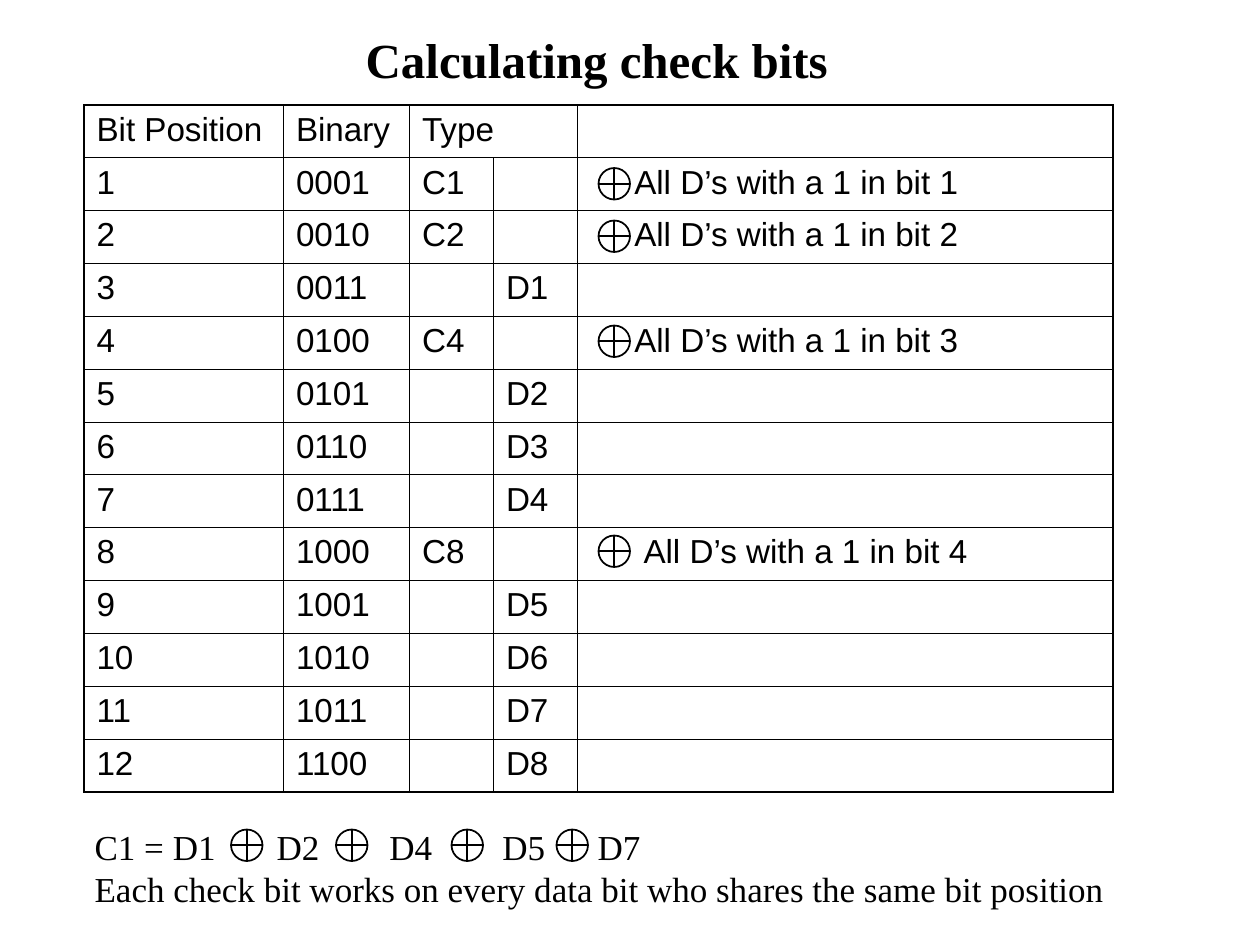
from lxml.etree import SubElement
from pptx import Presentation
from pptx.dml.color import RGBColor
from pptx.enum.shapes import MSO_CONNECTOR, MSO_SHAPE
from pptx.enum.text import MSO_ANCHOR, MSO_AUTO_SIZE, PP_ALIGN
from pptx.oxml import parse_xml
from pptx.oxml.ns import nsdecls, qn
from pptx.util import Pt

HUES = {"ink": "000000"}
SERIF, SANS = "Times New Roman", "Arial"
LEFT, TOP, ROW = 48, 60, 30.2
COLS = [114, 72, 48, 48, 306]
RING, STEP = 18, 30


class Deck:
    def __init__(self):
        self.prs = Presentation()
        self.prs.slide_width, self.prs.slide_height = Pt(720), Pt(540)
        self.slide = self.prs.slides.add_slide(self.prs.slide_layouts[5])
        self.ink = RGBColor.from_string(HUES["ink"])

    def style(self, para, face, size, bold=False):
        font = para.font
        font.name, font.size, font.bold = face, Pt(size), bold
        font.color.rgb = self.ink

    def title(self, text, x, y, w, h):
        box = self.slide.shapes.title
        box.left, box.top, box.width, box.height = Pt(x), Pt(y), Pt(w), Pt(h)
        frame = box.text_frame
        frame.text = text
        frame.auto_size = MSO_AUTO_SIZE.NONE
        frame.vertical_anchor = MSO_ANCHOR.BOTTOM
        para = frame.paragraphs[0]
        para.alignment = PP_ALIGN.CENTER
        self.style(para, SERIF, 28, True)

    def border(self, cell, sides):
        """Set line widths, given in the order left, right, top, bottom."""
        props = cell._tc.get_or_add_tcPr()
        for i, (side, width) in enumerate(zip("LRTB", sides)):
            props.insert(i, parse_xml(
                f'<a:ln{side} {nsdecls("a")} w="{Pt(width)}"><a:solidFill>'
                f'<a:srgbClr val="{HUES["ink"]}"/></a:solidFill></a:ln{side}>'))

    def table(self, rows):
        last, end = len(rows) - 1, len(COLS) - 1
        grid = self.slide.shapes.add_table(
            len(rows), len(COLS), Pt(LEFT), Pt(TOP),
            Pt(sum(COLS)), Pt(ROW * len(rows))).table
        grid.first_row = grid.horz_banding = False
        for col, width in zip(grid.columns, COLS):
            col.width = Pt(width)
        for r, row in enumerate(rows):
            grid.rows[r].height = Pt(ROW)
            for c, text in enumerate(row):
                cell = grid.cell(r, c)
                cell.fill.background()
                edges = (c == 0, c == end, r == 0, r == last)
                self.border(cell, [1.08 if edge else 0.45 for edge in edges])
                cell.text = text
                self.style(cell.text_frame.paragraphs[0], SANS, 19)
        grid.cell(0, 2).merge(grid.cell(0, 3))
        return grid

    def text(self, lines, x, y, w, h, stops):
        frame = self.slide.shapes.add_textbox(
            Pt(x), Pt(y), Pt(w), Pt(h)).text_frame
        frame.word_wrap = True
        frame.auto_size = MSO_AUTO_SIZE.SHAPE_TO_FIT_TEXT
        frame.text = "\n".join(lines)
        for para in frame.paragraphs:
            if "\t" in para.text:
                tabs = SubElement(para._p.get_or_add_pPr(), qn("a:tabLst"))
                for stop in stops:
                    SubElement(tabs, qn("a:tab"), pos=str(Pt(stop)), algn="l")
            self.style(para, SERIF, 20)

    def line(self, group, x1, y1, x2, y2):
        rule = group.shapes.add_connector(
            MSO_CONNECTOR.STRAIGHT, Pt(x1), Pt(y1), Pt(x2), Pt(y2))
        rule.line.color.rgb, rule.line.width = self.ink, Pt(1)
        SubElement(rule._element.spPr, qn("a:effectLst"))

    def xor(self, x, y):
        """Draw a circled plus sign."""
        group = self.slide.shapes.add_group_shape()
        ring = group.shapes.add_shape(
            MSO_SHAPE.OVAL, Pt(x), Pt(y), Pt(RING), Pt(RING))
        ring.shadow.inherit = False
        ring.fill.background()
        ring.line.color.rgb, ring.line.width = self.ink, Pt(1)
        half = RING / 2
        self.line(group, x, y + half, x + RING, y + half)
        self.line(group, x + half, y + RING, x + half, y)


def main():
    deck = Deck()
    deck.title("Calculating check bits", 18, 18, 646, 36)

    rows = [["Bit Position", "Binary", "Type", "", ""]]
    checks, data = [], 0
    for n in range(1, 13):
        if n & (n - 1) == 0:  # powers of two hold check bits
            checks.append(n)
            kind = [f"C{n}", "", f"All D’s with a 1 in bit {len(checks)}"]
        else:
            data += 1
            kind = ["", f"D{data}", ""]
        rows.append([str(n), f"{n:04b}", *kind])
    grid = deck.table(rows)

    for n in checks:
        grid.cell(n, 4).margin_left = Pt(37.8 if n == 8 else 32.5)
        deck.xor(342, TOP + STEP * n + 6)

    deck.text(
        ["C1 = D1\tD2\tD4\tD5\tD7",
         "Each check bit works on every data bit who shares the same bit position"],
        47, 468, 606, 55.5, [104, 168.5, 233, 287.5])
    for x in (132, 192, 258, 318):
        deck.xor(x, 474)

    deck.prs.save("out.pptx")


if __name__ == "__main__":
    main()
